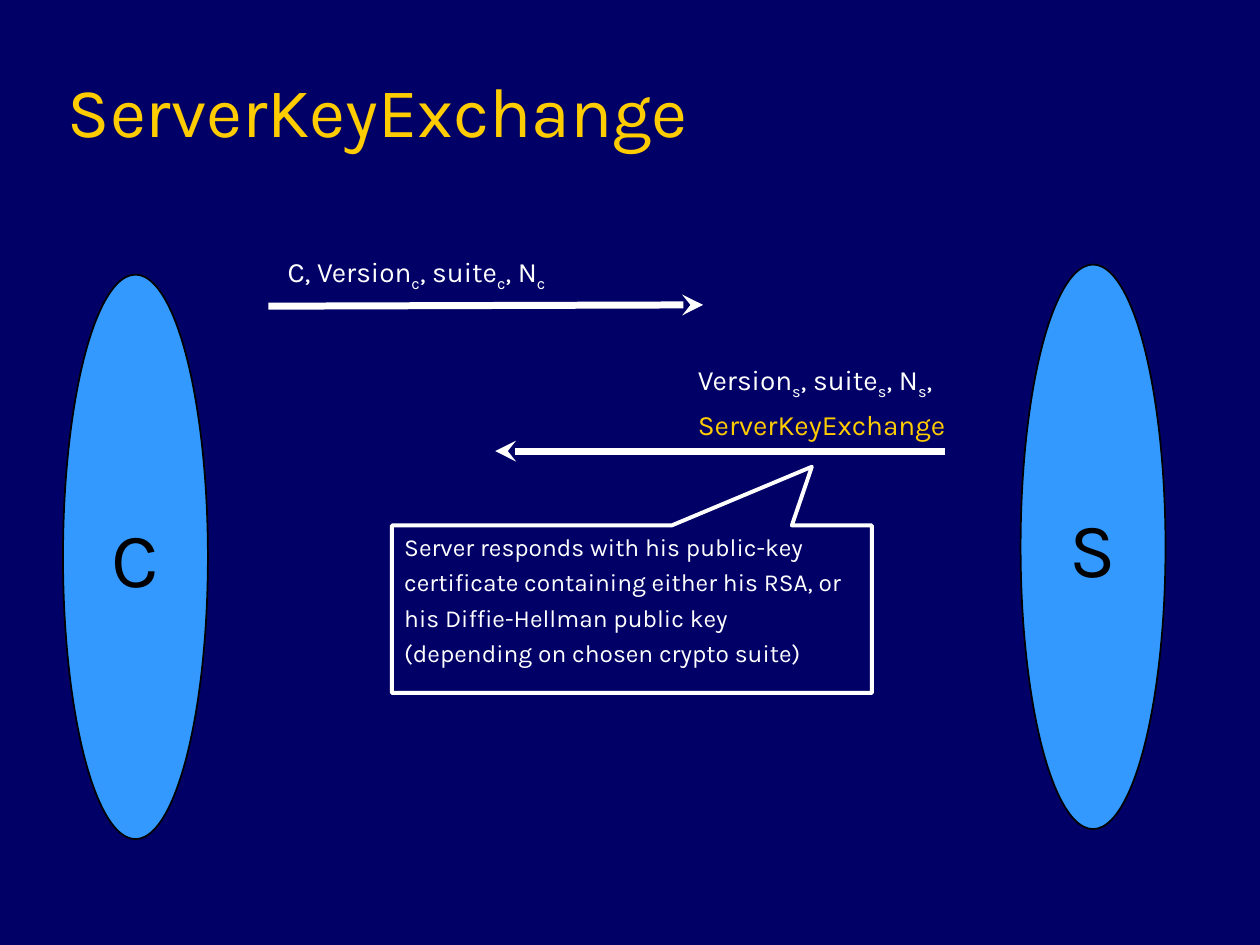
import pptx
import pptx.util
import pptx.dml.color
import pptx.enum.shapes
import pptx.enum.text
import pptx.oxml
import pptx.oxml.ns
from pptx.util import Inches

RGBColor = pptx.dml.color.RGBColor
MSO_SHAPE = pptx.enum.shapes.MSO_SHAPE
ANCHOR = pptx.enum.text.MSO_ANCHOR
ALIGN = pptx.enum.text.PP_ALIGN

NAVY = RGBColor(0x00, 0x00, 0x66)
BLUE = RGBColor(0x33, 0x99, 0xFF)
GOLD = RGBColor(0xFF, 0xCC, 0x00)
WHITE = RGBColor(0xFF, 0xFF, 0xFF)
BLACK = RGBColor(0x00, 0x00, 0x00)
FONT = "Karla"
PARTY_SIZE = (1.15, 4.48)


def write(sp, lines, size, colors, align=ALIGN.LEFT, anchor=ANCHOR.TOP,
          before=0, wrap=True, grow=False):
    tf = sp.text_frame
    tf.word_wrap = wrap
    tf.vertical_anchor = anchor
    if grow:
        tf.auto_size = pptx.enum.text.MSO_AUTO_SIZE.SHAPE_TO_FIT_TEXT
    for i, line in enumerate(lines):
        p = tf.paragraphs[0] if i == 0 else tf.add_paragraph()
        p.alignment = align
        p.space_before = pptx.util.Pt(before)
        for j, part in enumerate(line.split("|")):
            r = p.add_run()
            r.text = part
            r.font.size = pptx.util.Pt(size)
            r.font.name = FONT
            r.font.color.rgb = colors[min(i, len(colors) - 1)]
            if j % 2:
                r.font._element.set("baseline", "-25000")


def add_text(s, box, lines, **style):
    sp = s.shapes.add_textbox(*map(Inches, box))
    write(sp, lines, **style)


def add_outlined(s, kind, box, line, width):
    sp = s.shapes.add_shape(kind, *map(Inches, box))
    sp.shadow.inherit = False
    sp.fill.background()
    sp.line.color.rgb = line
    sp.line.width = pptx.util.Pt(width)
    return sp


def add_title(s, box, text):
    add_text(s, box, [text], size=40, colors=[GOLD], anchor=ANCHOR.BOTTOM)


def add_party(s, left, top, name):
    sp = add_outlined(s, MSO_SHAPE.OVAL, (left, top, *PARTY_SIZE), BLACK, 1)
    sp.fill.solid()
    sp.fill.fore_color.rgb = BLUE
    write(sp, [name], size=44, colors=[BLACK], align=ALIGN.CENTER,
          anchor=ANCHOR.MIDDLE, before=11, wrap=False)


def add_message(s, box, lines, start, end, colors, align=ALIGN.LEFT):
    left, top = box[:2]
    points = [Inches(v) for dx, dy in (start, end) for v in (left + dx, top + dy)]
    c = s.shapes.add_connector(pptx.enum.shapes.MSO_CONNECTOR.STRAIGHT, *points)
    c.line.color.rgb = WHITE
    c.line.width = pptx.util.Pt(4)
    ln = c.line._get_or_add_ln()
    tail = pptx.oxml.parse_xml(
        f'<a:tailEnd {pptx.oxml.ns.nsdecls("a")} type="stealth"/>')
    ln.append(tail)
    c._element.spPr.append(
        pptx.oxml.parse_xml(f'<a:effectLst {pptx.oxml.ns.nsdecls("a")}/>'))
    add_text(s, box, lines, size=16, colors=colors, align=align,
             before=4, wrap=False, grow=True)


def add_note(s, box, lines):
    sp = add_outlined(s, MSO_SHAPE.RECTANGULAR_CALLOUT, box, WHITE, 2.25)
    sp.adjustments[0] = 0.375
    sp.adjustments[1] = -0.85
    write(sp, lines, size=14, colors=[WHITE], before=3.5)


def main():
    prs = pptx.Presentation()
    prs.slide_width = Inches(10)
    prs.slide_height = Inches(7.5)
    s = prs.slides.add_slide(prs.slide_layouts[6])
    s.background.fill.solid()
    s.background.fill.fore_color.rgb = NAVY

    add_title(s, (0.44, 0.25, 8.5, 1), "ServerKeyExchange")
    add_party(s, 0.5, 2.18, "C")
    add_party(s, 8.1, 2.1, "S")
    add_message(s, (2.14, 1.97, 2.33, 0.41), ["C, Version|c|, suite|c|, N|c"],
                (-0.01, 0.46), (3.44, 0.45), [WHITE], ALIGN.CENTER)
    add_message(s, (5.44, 2.83, 2.25, 0.73),
                ["Version|s|, suite|s|, N|s|,", "ServerKeyExchange"],
                (2.06, 0.75), (-1.51, 0.75), [WHITE, GOLD])
    add_note(s, (3.11, 4.17, 3.81, 1.33), [
        "Server responds with his public-key",
        "certificate containing either his RSA, or",
        "his Diffie-Hellman public key",
        "(depending on chosen crypto suite)",
    ])
    prs.save("out.pptx")


if __name__ == "__main__":
    main()
